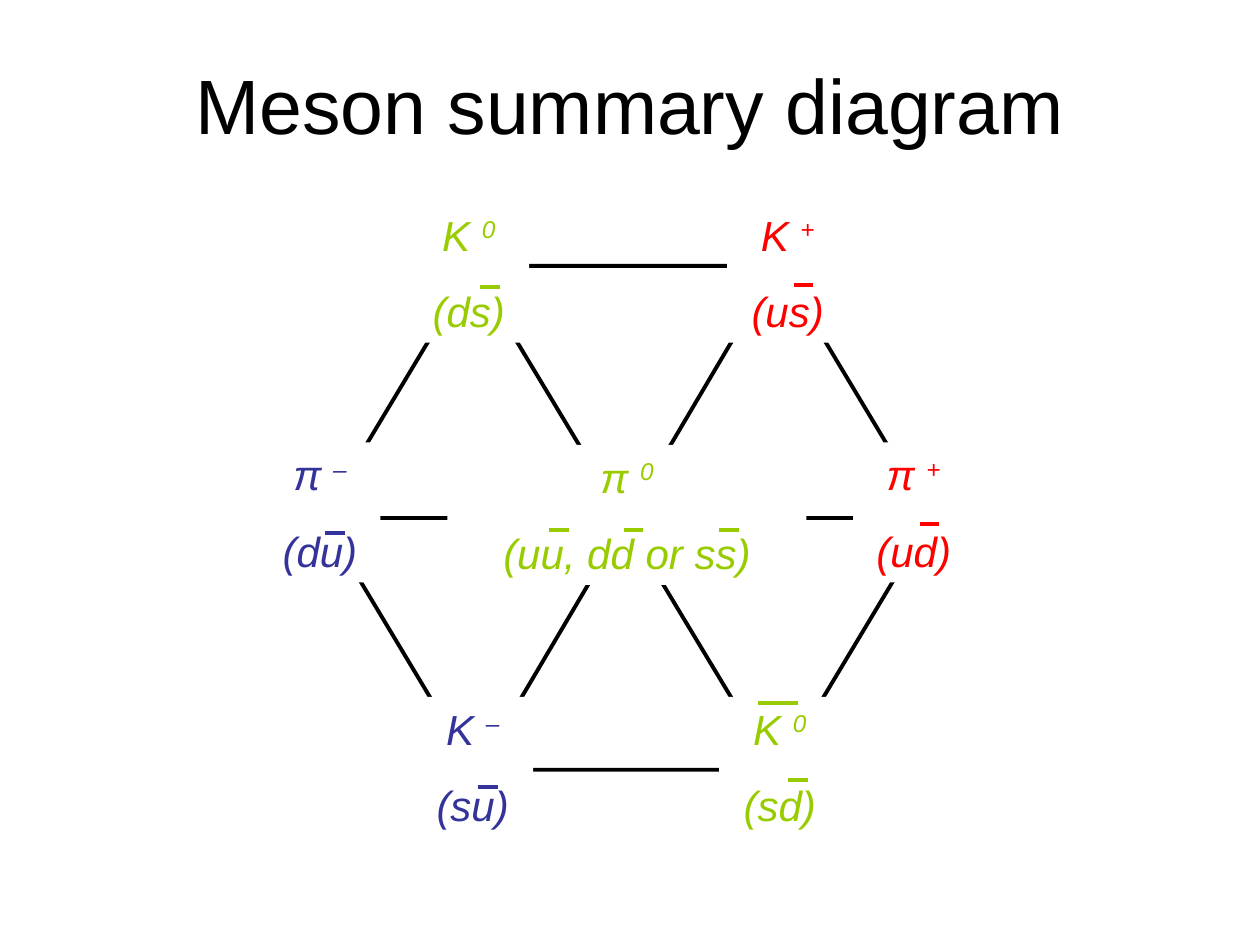
import dataclasses
import pptx
import pptx.dml.color
import pptx.enum.shapes
import pptx.enum.text
import pptx.oxml.xmlchemy
import pptx.util

Cm = pptx.util.Cm
Pt = pptx.util.Pt
SHAPE = pptx.enum.shapes.MSO_SHAPE
ANCHOR = pptx.enum.text.MSO_ANCHOR
FIT = pptx.enum.text.MSO_AUTO_SIZE


@dataclasses.dataclass(frozen=True)
class Theme:
    font: str = "Arial"
    ink: str = "000000"
    paper: str = "FFFFFF"
    negative: str = "333399"
    neutral: str = "99CC00"
    positive: str = "FF0000"
    title_size: int = 44
    label_size: int = 24
    label_gap: int = 15
    line_width: float = 2.25


def color(value):
    return pptx.dml.color.RGBColor.from_string(value)


def style(target, formats):
    for name, value in formats.items():
        setattr(target, name, value)


class MesonSlide:
    def __init__(self, page, theme):
        self.page = page
        self.theme = theme

    def group(self):
        return self.page.shapes.add_group_shape().shapes

    def span(self, para, text, size, ink, italic=False, raised=False):
        span = para.add_run()
        span.text = text
        style(span.font, {"name": self.theme.font, "size": Pt(size), "italic": italic})
        span.font.color.rgb = color(ink)
        if raised:
            span._r.get_or_add_rPr().set("baseline", "30000")

    def title(self, text, left, top, width, height):
        box = self.page.shapes.add_textbox(Cm(left), Cm(top), Cm(width), Cm(height))
        style(box.text_frame, {"word_wrap": True, "vertical_anchor": ANCHOR.MIDDLE})
        para = box.text_frame.paragraphs[0]
        para.alignment = pptx.enum.text.PP_ALIGN.CENTER
        self.span(para, text, self.theme.title_size, self.theme.ink)

    def line(self, shapes, start, end, ink):
        points = [Cm(value) for value in (*start, *end)]
        line = shapes.add_connector(pptx.enum.shapes.MSO_CONNECTOR.STRAIGHT, *points)
        line.line.color.rgb = color(ink)
        line.line.width = Pt(self.theme.line_width)
        line._element.spPr.append(pptx.oxml.xmlchemy.OxmlElement("a:effectLst"))

    def hexagon(self, shapes, left, top, width, height):
        hexagon = shapes.add_shape(SHAPE.HEXAGON, Cm(left), Cm(top), Cm(width), Cm(height))
        hexagon.adjustments[0] = 0.3
        hexagon.shadow.inherit = False
        hexagon.fill.background()
        hexagon.line.color.rgb = color(self.theme.ink)
        hexagon.line.width = Pt(self.theme.line_width)

    def meson(self, symbol, charge, quarks, ink, left, top, bars, width=2.44):
        shapes = self.group()
        box = shapes.add_shape(SHAPE.RECTANGLE, Cm(left), Cm(top), Cm(width), Cm(2.82))
        box.shadow.inherit = False
        box.fill.solid()
        box.fill.fore_color.rgb = color(self.theme.paper)
        box.line.fill.background()
        frame = box.text_frame
        style(frame, {"word_wrap": True, "vertical_anchor": ANCHOR.TOP,
                      "auto_size": FIT.SHAPE_TO_FIT_TEXT})
        name, content = frame.paragraphs[0], frame.add_paragraph()
        for para in (name, content):
            para.alignment = pptx.enum.text.PP_ALIGN.CENTER
        content.space_before = Pt(self.theme.label_gap)
        size = self.theme.label_size
        self.span(name, symbol + " ", size, ink, italic=True)
        self.span(name, charge, size, ink, italic=True, raised=True)
        self.span(content, quarks, size, ink, italic=True)
        for across, down, length in bars:
            x, y = left + across, top + down
            self.line(shapes, (x, y), (x + length, y), ink)


def main():
    deck = pptx.Presentation()
    style(deck, {"slide_width": Cm(25.4), "slide_height": Cm(19.05)})
    theme = Theme()
    slide = MesonSlide(deck.slides.add_slide(deck.slide_layouts[6]), theme)
    slide.title("Meson summary diagram", 1.27, 0.76, 22.86, 2.67)

    lattice = slide.group()
    slide.hexagon(lattice, 6.5, 5.36, 12.27, 10.16)
    for start, end in (
        ((6.45, 10.44), (18.82, 10.44)),
        ((9.65, 15.52), (15.65, 5.36)),
        ((15.62, 15.52), (9.5, 5.36)),
    ):
        slide.line(lattice, start, end, theme.ink)

    upper, middle, lower = 4.09, 8.92, 14.05
    bar = 0.4
    for meson in (
        ("π", "–", "(du)", theme.negative, 5.23, middle, [(1.32, 1.82, bar)]),
        ("π", "+", "(ud)", theme.positive, 17.2, middle, [(1.34, 1.65, bar)]),
        ("K", "+", "(us)", theme.positive, 14.66, upper, [(1.34, 1.65, bar)]),
        ("K", "–", "(su)", theme.negative, 8.31, lower, [(1.32, 1.82, bar)]),
        ("K", "0", "(ds)", theme.neutral, 8.23, upper, [(1.45, 1.7, bar)]),
        ("K", "0", "(sd)", theme.neutral, 14.5, lower, [(1.38, 1.67, bar), (0.79, 0.12, 0.79)]),
        ("π", "0", "(uu, dd or ss)", theme.neutral, 9.02, 8.97,
         [(across, 1.72, bar) for across in (3.55, 5.48, 2.05)], 7.24),
    ):
        slide.meson(*meson)
    deck.save("out.pptx")


if __name__ == "__main__":
    main()
